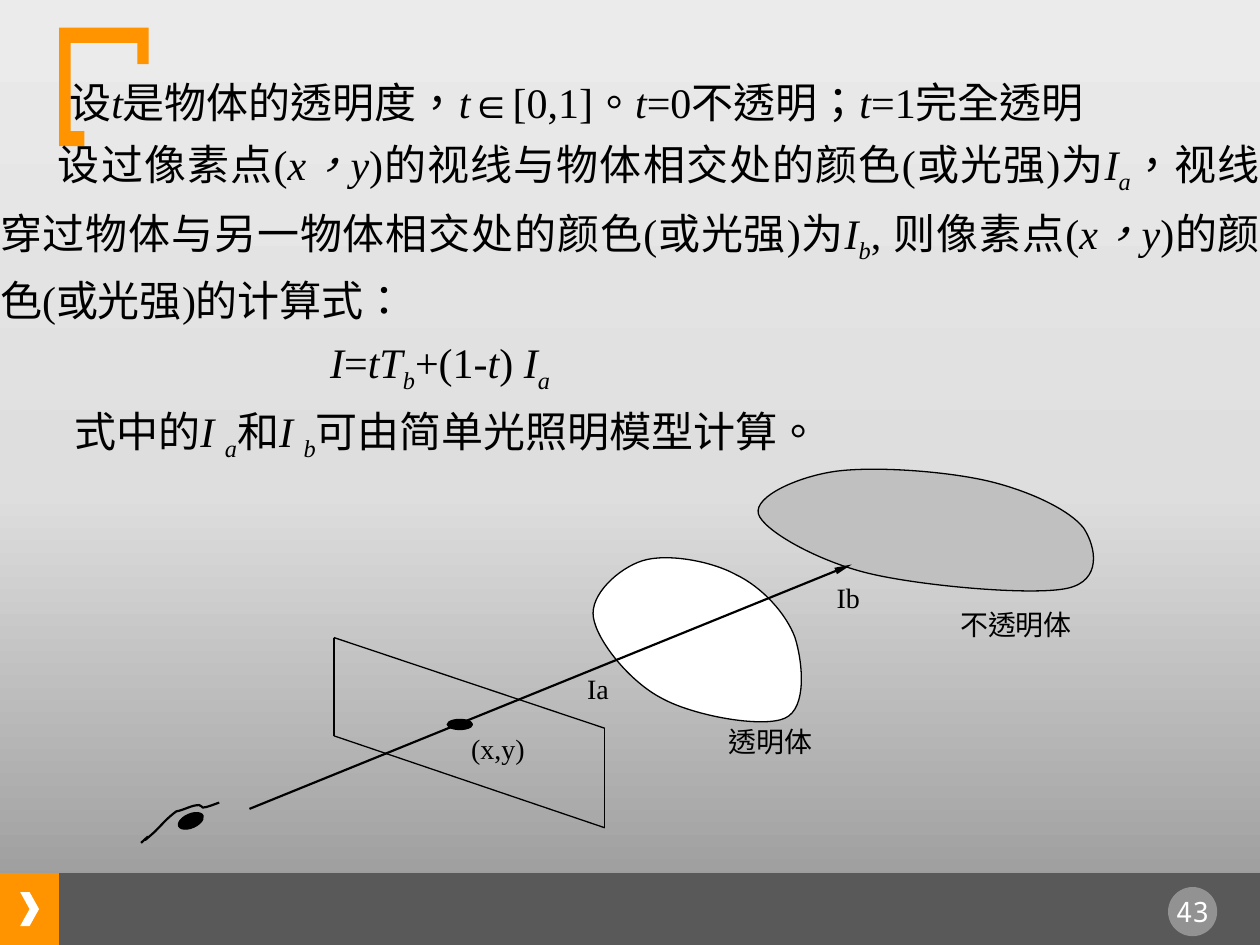
import copy
from dataclasses import dataclass

import pptx
import pptx.dml.color
import pptx.enum.lang
import pptx.enum.shapes
import pptx.enum.text
import pptx.oxml
import pptx.oxml.ns
import pptx.util

Inches = pptx.util.Inches
SHAPE = pptx.enum.shapes.MSO_SHAPE
ALIGN = pptx.enum.text.PP_ALIGN
ANCHOR = pptx.enum.text.MSO_ANCHOR
LANGUAGE = pptx.enum.lang.MSO_LANGUAGE_ID.TRADITIONAL_CHINESE
qn = pptx.oxml.ns.qn


@dataclass(frozen=True)
class Theme:
    ink: str = "000000"
    white: str = "FFFFFF"
    accent: str = "FF9300"
    footer: str = "595959"
    opaque: str = "C0C0C0"
    background: tuple = ((0, "949494"), (0.48, "DEDEDE"), (1, "EBEBEB"))
    serif: str = "Times New Roman"
    mono: str = "Noto Sans Mono"
    body_size: int = 24
    label_size: int = 16
    thin: float = 0.75
    thick: float = 1.25


THEME = Theme()
WIDTH, HEIGHT = 10, 7.5
FOOTER_TOP, MARGIN = 6.93, 0.47
PLAIN, ITALIC, SUB = "plain", "italic", "subscript"

BODY = [
    (0.55, [("设", PLAIN), ("t", ITALIC), ("是物体的透明度，", PLAIN), ("t", ITALIC),
            ("∈[0,1]。", PLAIN), ("t", ITALIC), ("=0不透明；", PLAIN), ("t", ITALIC),
            ("=1完全透明", PLAIN)]),
    (0.46, [("设过像素点(", PLAIN), ("x，y", ITALIC),
            (")的视线与物体相交处的颜色(或光强)为", PLAIN), ("I", ITALIC), ("a", SUB),
            ("，视线穿过物体与另一物体相交处的颜色(或光强)为", PLAIN), ("I", ITALIC), ("b", SUB),
            (", 则像素点(", PLAIN), ("x，y", ITALIC), (")的颜色(或光强)的计算式：", PLAIN)]),
    (2.62, [("I", ITALIC), ("=", PLAIN), ("tT", ITALIC), ("b", SUB), ("+(1-", PLAIN),
            ("t", ITALIC), (") ", PLAIN), ("I", ITALIC), ("a", SUB)]),
    (0.59, [("式中的", PLAIN), ("I ", ITALIC), ("a", SUB), ("和", PLAIN), ("I ", ITALIC),
            ("b", SUB), ("可由简单光照明模型计算。", PLAIN)]),
]

LABELS = [
    ("Ia", 4.66, 5.33, 0.34),
    ("Ib", 6.64, 4.61, 0.52),
    ("(x,y)", 3.74, 5.81, 0.73),
    ("透明体", 5.78, 5.75, 1.38),
    ("不透明体", 7.62, 4.82, 1.55),
]

BRACKET = [(0.47, 0.22), (1.18, 0.22), (1.18, 0.51), (1.09, 0.51), (1.09, 0.34),
           (0.56, 0.34), (0.56, 1.04), (0.67, 1.04), (0.67, 1.16), (0.47, 1.16)]
SCREEN = [(2.65, 5.06), (2.65, 5.84), (4.8, 6.57), (4.8, 5.78)]
RAY = [(1.98, 6.42), (6.76, 4.48)]

TRANSPARENT_BODY = [
    (5.1, 4.45), (4.91, 4.51), (4.68, 4.72), (4.71, 4.9), (4.74, 5.09), (5, 5.41),
    (5.25, 5.54), (5.5, 5.68), (6.05, 5.78), (6.23, 5.7), (6.41, 5.62), (6.37, 5.25),
    (6.31, 5.06), (6.24, 4.87), (6.05, 4.66), (5.84, 4.56), (5.64, 4.45), (5.29, 4.39),
    (5.1, 4.45)]
OPAQUE_BODY = [
    (6.64, 3.74), (6.34, 3.78), (5.98, 3.94), (6.02, 4.08), (6.06, 4.21), (6.48, 4.45),
    (6.89, 4.55), (7.3, 4.65), (8.19, 4.73), (8.47, 4.67), (8.75, 4.61), (8.7, 4.34),
    (8.6, 4.19), (8.49, 4.05), (8.18, 3.9), (7.85, 3.82), (7.51, 3.74), (6.95, 3.7),
    (6.64, 3.74)]
EYELID = [
    (1.12, 6.69), (1.27, 6.55), (1.04, 6.77), (1.23, 6.6), (1.29, 6.54), (1.33, 6.49),
    (1.4, 6.44), (1.46, 6.43), (1.52, 6.39), (1.58, 6.39), (1.6, 6.39), (1.6, 6.41),
    (1.61, 6.41), (1.64, 6.41), (1.71, 6.38), (1.74, 6.37)]


def element(tag, attributes=""):
    return pptx.oxml.parse_xml(f"<a:{tag} {pptx.oxml.ns.nsdecls('a')} {attributes}/>")


def rgb(color):
    return pptx.dml.color.RGBColor.from_string(color)


def paint(shape, fill=None, line=None, weight=THEME.thin):
    shape.shadow.inherit = False
    if fill:
        shape.fill.solid()
        shape.fill.fore_color.rgb = rgb(fill)
    else:
        shape.fill.background()
    if line:
        shape.line.color.rgb = rgb(line)
        shape.line.width = pptx.util.Pt(weight)
    else:
        shape.line.fill.background()
    return shape


def add_preset(parent, kind, box, fill, line=None):
    return paint(parent.shapes.add_shape(kind, *map(Inches, box)), fill, line)


def add_outline(parent, points, close=True, **style):
    points = [(Inches(x), Inches(y)) for x, y in points]
    builder = parent.shapes.build_freeform(*points[0])
    builder.add_line_segments(points[1:], close=close)
    return paint(builder.convert_to_shape(), **style)


def add_curve(parent, controls, **style):
    shape = add_outline(parent, controls, **style)
    lines = list(shape._element.iter(qn("a:lnTo")))
    for start in range(0, len(lines), 3):
        curve = element("cubicBezTo")
        lines[start].addprevious(curve)
        for line in lines[start:start + 3]:
            curve.append(line[0])
            line.getparent().remove(line)


def add_line(parent, start, end, weight, arrow=False):
    kind = pptx.enum.shapes.MSO_CONNECTOR.STRAIGHT
    line = parent.shapes.add_connector(kind, *map(Inches, (*start, *end)))
    line.line.color.rgb = rgb(THEME.ink)
    line.line.width = pptx.util.Pt(weight)
    properties = line._element.spPr
    if arrow:
        properties.find(qn("a:ln")).append(
            element("tailEnd", 'type="triangle" w="sm" len="lg"'))
    properties.append(element("effectLst"))


def add_run(paragraph, text, font, size, color, style=PLAIN):
    run = paragraph.add_run()
    run.text = text
    run.font.name = font
    run.font.size = pptx.util.Pt(size)
    run.font.color.rgb = rgb(color)
    run.font.italic = style != PLAIN
    run.font.language_id = LANGUAGE
    if style == SUB:
        run.font._element.set("baseline", "-25000")


def set_frame(frame, anchor, top=0, bottom=0):
    frame.word_wrap = True
    frame.auto_size = pptx.enum.text.MSO_AUTO_SIZE.NONE
    frame.vertical_anchor = anchor
    frame.margin_left = frame.margin_right = 0
    frame.margin_top, frame.margin_bottom = Inches(top), Inches(bottom)


def add_label(parent, text, box, align, anchor, font, color):
    frame = parent.shapes.add_textbox(*map(Inches, box)).text_frame
    set_frame(frame, anchor)
    paragraph = frame.paragraphs[0]
    paragraph.alignment = align
    add_run(paragraph, text, font, THEME.label_size, color)


def set_background(slide):
    fill = slide.background.fill
    fill.gradient()
    fill.gradient_angle = 90
    stops = slide._element.find(".//" + qn("a:gsLst"))
    stops.append(copy.deepcopy(stops[-1]))
    for stop, (position, color) in zip(fill.gradient_stops, THEME.background):
        stop.position = position
        stop.color.rgb = rgb(color)


def add_decoration(slide):
    footer_height = HEIGHT - FOOTER_TOP
    add_preset(slide, SHAPE.RECTANGLE, (0, FOOTER_TOP, MARGIN, footer_height), THEME.accent)
    add_preset(slide, SHAPE.RECTANGLE, (MARGIN, FOOTER_TOP, WIDTH - MARGIN, footer_height),
               THEME.footer)
    add_preset(slide, SHAPE.CHEVRON, (0.16, 7.08, 0.15, 0.27), THEME.white)
    badge = add_preset(slide, SHAPE.OVAL, (9.27, 7.04, 0.39, 0.39), THEME.white)
    badge._element.spPr.find(".//" + qn("a:srgbClr")).append(element("alpha", 'val="35000"'))
    add_label(slide, "43", (9.2, 7.05, 0.53, 0.37), ALIGN.CENTER, ANCHOR.MIDDLE,
              THEME.mono, THEME.white)
    add_outline(slide, BRACKET, fill=THEME.accent)


def add_diagram(slide):
    diagram = slide.shapes.add_group_shape()
    for start, end in zip(SCREEN, SCREEN[1:] + SCREEN[:1]):
        add_line(diagram, start, end, THEME.thin)
    for controls, fill in ((TRANSPARENT_BODY, THEME.white), (OPAQUE_BODY, THEME.opaque)):
        add_curve(diagram, controls, fill=fill, line=THEME.ink)
    add_preset(diagram, SHAPE.OVAL, (3.55, 5.71, 0.2, 0.08), THEME.ink, THEME.ink)
    for text, left, top, width in LABELS:
        add_label(diagram, text, (left, top, width, 0.33), ALIGN.JUSTIFY, ANCHOR.TOP,
                  THEME.serif, THEME.ink)
    add_line(diagram, *RAY, THEME.thick, arrow=True)
    add_curve(diagram, EYELID, close=False, line=THEME.ink, weight=THEME.thick)
    pupil = add_preset(diagram, SHAPE.OVAL, (1.41, 6.46, 0.21, 0.11), THEME.ink, THEME.ink)
    pupil.rotation = 336.4


def fill_body(slide):
    body = slide.placeholders[1]
    slide.shapes._spTree.append(body._element)
    body.left, body.top, body.width, body.height = map(Inches, (0, 0.52, WIDTH, 3.09))
    frame = body.text_frame
    set_frame(frame, ANCHOR.MIDDLE, top=0.12, bottom=0.05)
    for index, (indent, runs) in enumerate(BODY):
        paragraph = frame.add_paragraph() if index else frame.paragraphs[0]
        paragraph.alignment = ALIGN.JUSTIFY
        paragraph.line_spacing = 1.2
        paragraph.space_before = pptx.util.Pt(0)
        properties = paragraph._element.get_or_add_pPr()
        properties.set("marL", "0")
        properties.set("indent", str(Inches(indent)))
        properties.append(element("buNone"))
        for text, style in runs:
            add_run(paragraph, text, THEME.serif, THEME.body_size, THEME.ink, style)


def main():
    presentation = pptx.Presentation()
    presentation.slide_width, presentation.slide_height = Inches(WIDTH), Inches(HEIGHT)
    slide = presentation.slides.add_slide(presentation.slide_layouts[1])
    title = slide.shapes.title._element
    title.getparent().remove(title)
    set_background(slide)
    add_decoration(slide)
    add_diagram(slide)
    fill_body(slide)
    presentation.save("out.pptx")


if __name__ == "__main__":
    main()
